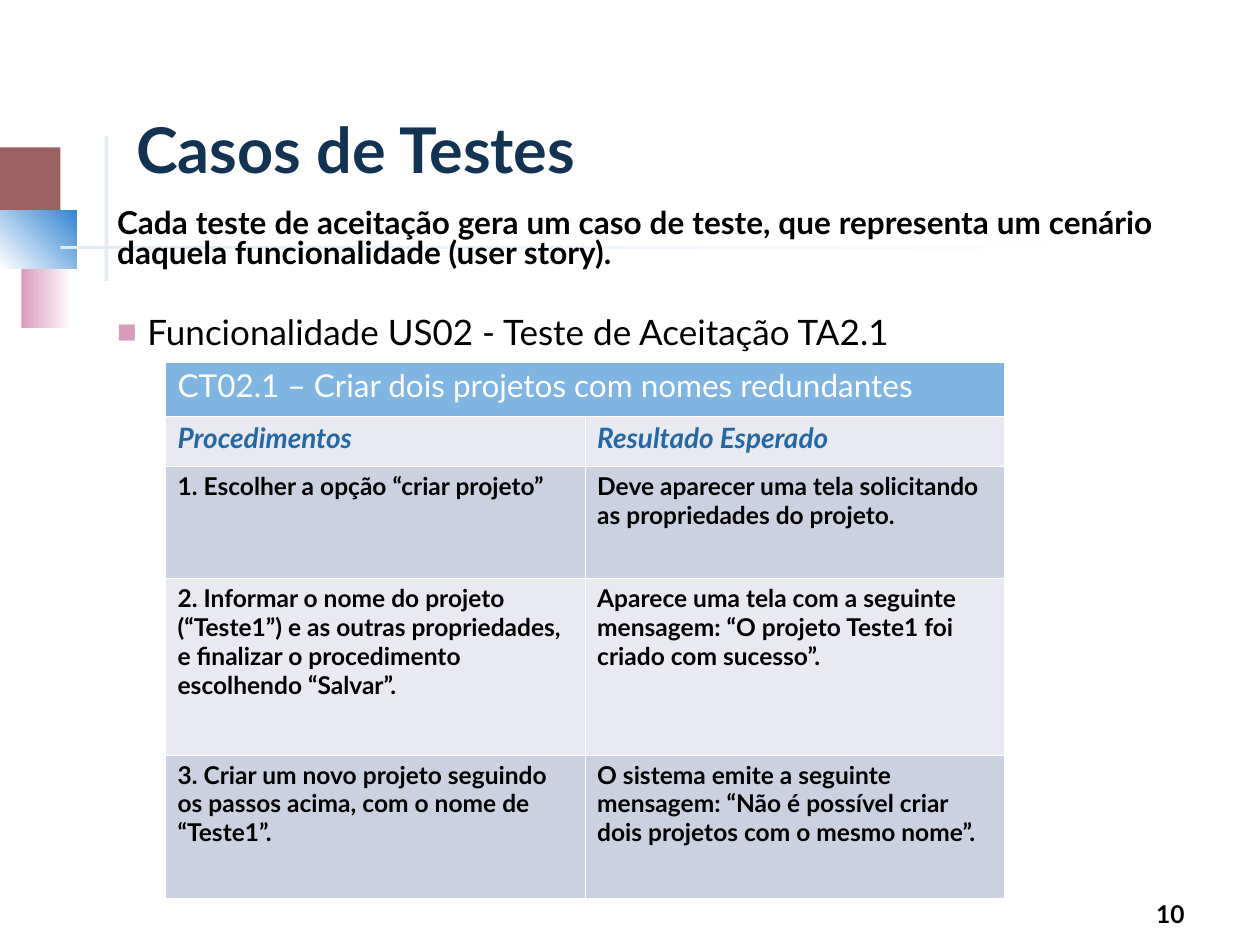
from lxml.etree import SubElement
from pptx import Presentation
from pptx.dml.color import RGBColor
from pptx.enum.shapes import MSO_SHAPE
from pptx.enum.text import MSO_ANCHOR, MSO_AUTO_SIZE, PP_ALIGN
from pptx.oxml.ns import qn
from pptx.util import Inches, Pt

WIDTH, HEIGHT = 10, 7.5
BLACK, WHITE, PINK, PALE_BLUE = "000000", "FFFFFF", "D99BBA", "E0EDF8"
LIGHT_ROW, DARK_ROW, HEADER_ROW = "E8E9F1", "CCD1E1", "80B5E2"

ORNAMENTS = [
    ((0, 1.17, 0.48, 0.52), ["9B6261"], 0),
    ((0.17, 2.08, 0.4, 0.52), [PINK, WHITE], 0),
    ((0, 1.67, 0.61, 0.46), [WHITE, "3286D2"], 45),
    ((0.83, 1.08, 0.03, 1.15), [PALE_BLUE], 0),
    ((0.48, 1.95, 9, 0.03), [PALE_BLUE, WHITE], 0),
]
TITLE = "Casos de Testes"
INTRO = "Cada teste de aceitação gera um caso de teste, que representa um cenário daquela funcionalidade (user story)."
FEATURE = "Funcionalidade US02 - Teste de Aceitação TA2.1"
PAGE_NUMBER = "10"
TEST_CASE = [
    ("CT02.1 – Criar dois projetos com nomes redundantes", ""),
    ("Procedimentos", "Resultado Esperado"),
    ("1. Escolher a opção “criar projeto”",
     "Deve aparecer uma tela solicitando as propriedades do projeto."),
    ("2. Informar o nome do projeto (“Teste1”) e as outras propriedades, e finalizar o procedimento escolhendo “Salvar”.",
     "Aparece uma tela com a seguinte mensagem: “O projeto Teste1 foi criado com sucesso”."),
    ("3. Criar um novo projeto seguindo os passos acima, com o nome de “Teste1”.",
     "O sistema emite a seguinte mensagem: “Não é possível criar dois projetos com o mesmo nome”."),
]
ROW_HEIGHTS = [0.43, 0.4, 0.89, 1.4, 1.14]
TABLE_LEFT, TABLE_TOP, TABLE_WIDTH = 1.31, 2.87, 6.66
STEP_STYLE = {"size": 14, "color": BLACK, "bold": True}
ROW_STYLES = [
    {"size": 18, "color": WHITE, "bold": False},
    {"size": 16, "color": "2469A6", "bold": True, "italic": True},
] + [STEP_STYLE] * 3
ROW_FILLS = [HEADER_ROW, LIGHT_ROW, DARK_ROW, LIGHT_ROW, DARK_ROW]


def rgb(value):
    """Return the colour of a hex string."""
    return RGBColor.from_string(value)


def place(part, box):
    """Move and size a part to a box in inches."""
    for side, length in zip(("left", "top", "width", "height"), box):
        setattr(part, side, Inches(length))


def write(paragraph, text, size, color, bold, italic=False, **layout):
    """Write one formatted run and set the paragraph's layout."""
    run = paragraph.add_run()
    run.text = text
    font = {"name": "Lato", "size": Pt(size), "bold": bold, "italic": italic}
    for target, values in ((run.font, font), (paragraph, layout)):
        for key, value in values.items():
            setattr(target, key, value)
    run.font.color.rgb = rgb(color)


def prepare(frame, anchor):
    """Fix the wrapping and anchoring of a text frame."""
    settings = {"word_wrap": True, "auto_size": MSO_AUTO_SIZE.NONE, "vertical_anchor": anchor}
    for key, value in settings.items():
        setattr(frame, key, value)
    return frame


def set_bullet(paragraph, indent, bullet=False):
    """Set the hanging indent and the square bullet, or none."""
    properties = paragraph._p.get_or_add_pPr()
    properties.set("marL", str(Inches(indent)))
    properties.set("indent", str(-Inches(indent)))
    if not bullet:
        SubElement(properties, qn("a:buNone"))
        return
    SubElement(SubElement(properties, qn("a:buClr")), qn("a:srgbClr"), val=PINK)
    SubElement(properties, qn("a:buSzPct"), val="60000")
    SubElement(properties, qn("a:buFont"), typeface="Lato")
    SubElement(properties, qn("a:buChar"), char="■")


def add_ornament(slide, box, colors, angle):
    """Add a rectangle with a plain or gradient fill."""
    ornament = slide.shapes.add_shape(MSO_SHAPE.RECTANGLE, *map(Inches, box))
    ornament.shadow.inherit = False
    ornament.line.fill.background()
    if len(colors) == 1:
        ornament.fill.solid()
        ornament.fill.fore_color.rgb = rgb(colors[0])
        return
    ornament.fill.gradient()
    ornament.fill.gradient_angle = angle
    for stop, color in zip(ornament.fill.gradient_stops, colors):
        stop.color.rgb = rgb(color)


def add_borders(cell):
    """Give a cell thin white borders."""
    properties = cell._tc.get_or_add_tcPr()
    for side in "LRTB":
        border = SubElement(properties, qn(f"a:ln{side}"), w=str(Pt(0.11)))
        SubElement(SubElement(border, qn("a:solidFill")), qn("a:srgbClr"), val=WHITE)


def add_test_case(slide):
    """Add the table of steps and expected results."""
    columns = len(TEST_CASE[0])
    box = (TABLE_LEFT, TABLE_TOP, TABLE_WIDTH, sum(ROW_HEIGHTS))
    table = slide.shapes.add_table(len(TEST_CASE), columns, *map(Inches, box)).table
    table.first_row = table.horz_banding = False
    for column in table.columns:
        column.width = Inches(TABLE_WIDTH / columns)
    table.cell(0, 0).merge(table.cell(0, columns - 1))
    for row, height, texts, style, fill in zip(table.rows, ROW_HEIGHTS, TEST_CASE, ROW_STYLES, ROW_FILLS):
        row.height = Inches(height)
        for cell, text in zip(row.cells, texts):
            add_borders(cell)
            cell.fill.solid()
            cell.fill.fore_color.rgb = rgb(fill)
            if text:
                write(cell.text_frame.paragraphs[0], text, line_spacing=0.98, **style)


def main():
    """Build the slide and save it."""
    deck = Presentation()
    deck.slide_width, deck.slide_height = Inches(WIDTH), Inches(HEIGHT)
    slide = deck.slides.add_slide(deck.slide_layouts[1])
    title, body = slide.placeholders
    for ornament in ORNAMENTS:
        add_ornament(slide, *ornament)
    for placeholder in (title, body):
        placeholder.element.getparent().append(placeholder.element)

    place(title, (0.98, 0.28, 8.82, 1.25))
    heading = prepare(title.text_frame, MSO_ANCHOR.BOTTOM).paragraphs[0]
    write(heading, TITLE, 36, "123452", True, alignment=PP_ALIGN.LEFT)

    place(body, (0.83, 1.62, 8.42, 5.46))
    frame = prepare(body.text_frame, MSO_ANCHOR.TOP)
    intro, feature = frame.paragraphs[0], frame.add_paragraph()
    set_bullet(intro, 0)
    set_bullet(feature, 0.24, bullet=True)
    justified = {"alignment": PP_ALIGN.JUSTIFY, "line_spacing": 0.8}
    write(intro, INTRO, 18, BLACK, True, space_before=Pt(0), **justified)
    write(feature, FEATURE, 20, BLACK, False, space_before=Pt(27), **justified)

    number = slide.shapes.add_textbox(*map(Inches, (7.42, 6.92, 2.08, 0.5)))
    page = prepare(number.text_frame, MSO_ANCHOR.BOTTOM).paragraphs[0]
    write(page, PAGE_NUMBER, 14, BLACK, True, alignment=PP_ALIGN.RIGHT)

    add_test_case(slide)
    deck.save("out.pptx")


if __name__ == "__main__":
    main()
